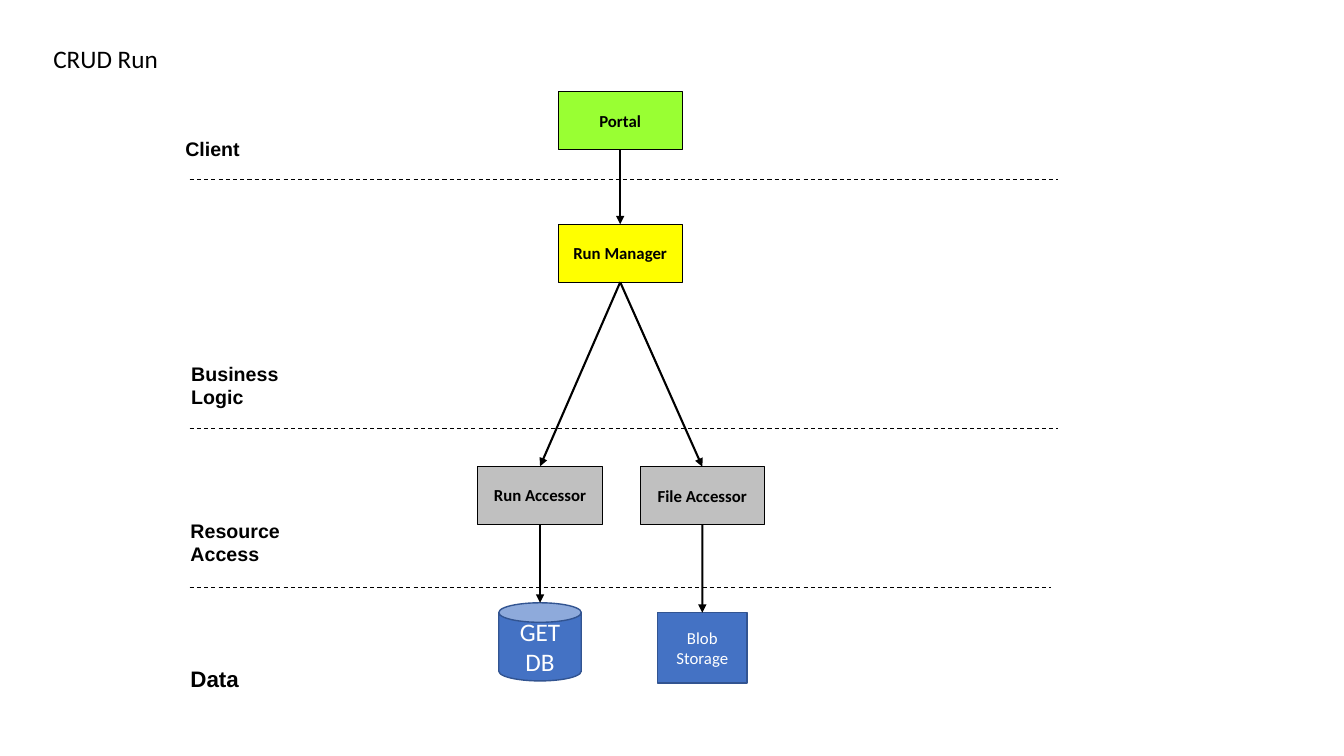
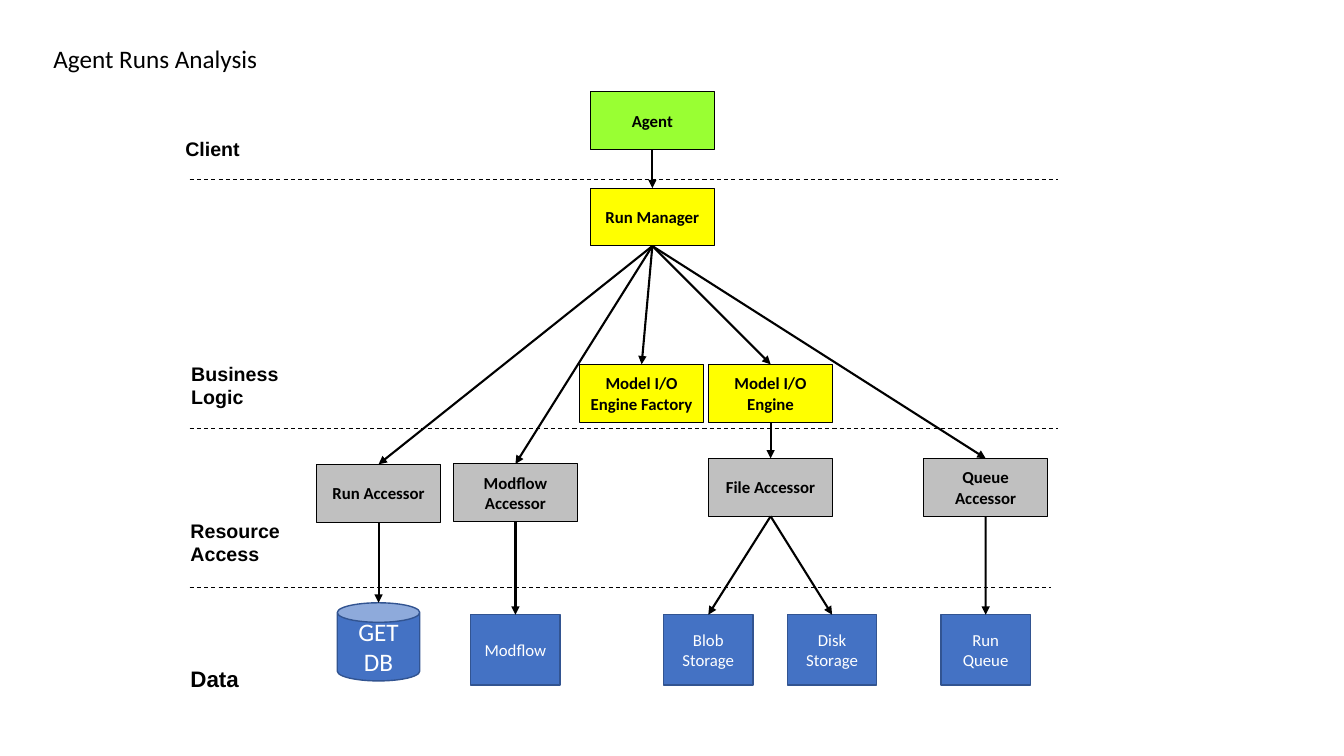
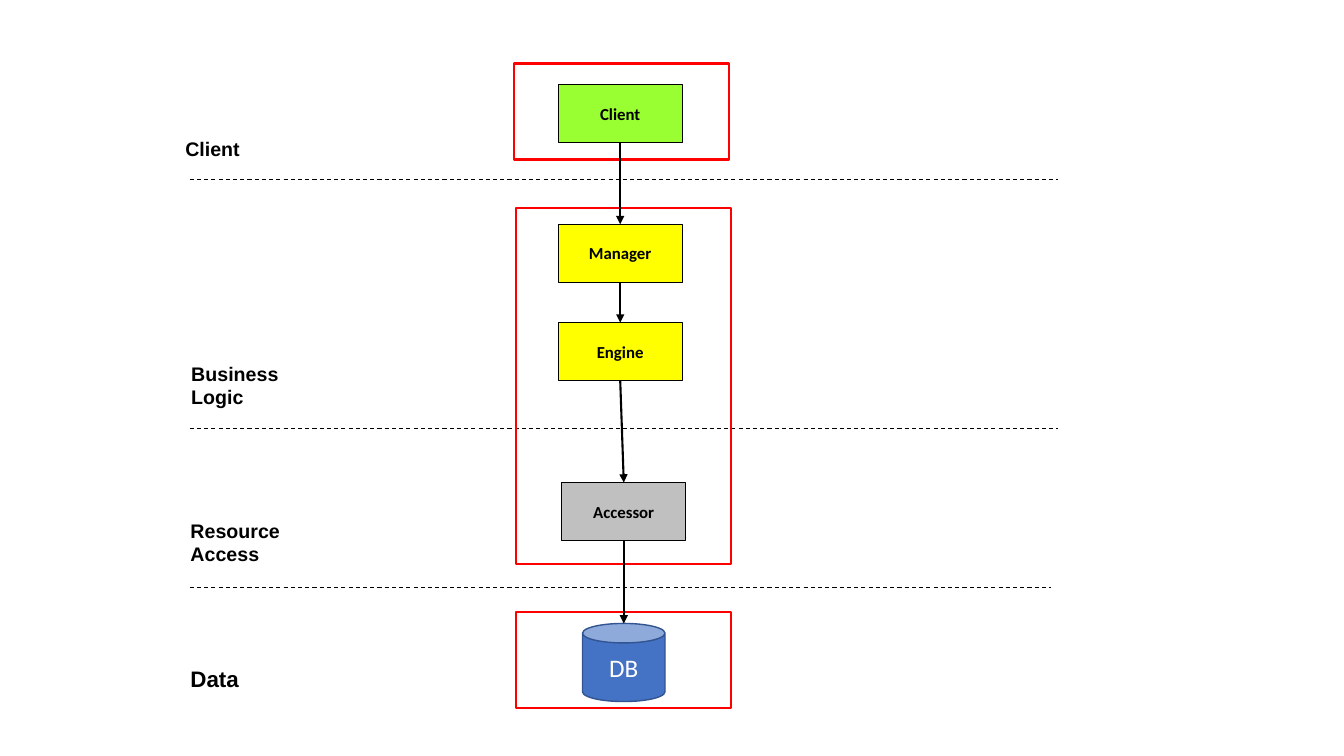
"""Builds three layered architecture diagrams: CRUD run, agent analysis and the general pattern."""
import lxml.etree
import pptx
import pptx.dml.color
import pptx.enum.dml
import pptx.enum.shapes
import pptx.enum.text
import pptx.oxml.ns
import pptx.util

Cm = pptx.util.Cm
Pt = pptx.util.Pt
RGBColor = pptx.dml.color.RGBColor
SHAPE = pptx.enum.shapes.MSO_SHAPE
ALIGN = pptx.enum.text.PP_ALIGN
ANCHOR = pptx.enum.text.MSO_ANCHOR

BLACK = RGBColor(0x00, 0x00, 0x00)
WHITE = RGBColor(0xFF, 0xFF, 0xFF)
GREEN = RGBColor(0x99, 0xFF, 0x33)
YELLOW = RGBColor(0xFF, 0xFF, 0x00)
GRAY = RGBColor(0xC0, 0xC0, 0xC0)
BLUE = RGBColor(0x44, 0x72, 0xC4)
NAVY = RGBColor(0x32, 0x54, 0x91)
RED = RGBColor(0xFF, 0x00, 0x00)

TITLE_ONLY, BLANK = 5, 6

LANE_LEFT = 4.78
LANE_LINES = [(4.52, 26.67), (10.8, 26.67), (14.81, 26.49)]
LANE_LABELS = [
    ("Client", 4.42, 3.33, 1.88, 0.83, 14),
    ("Business\nLogic", 4.57, 8.99, 2.72, 1.45, 14),
    ("Resource\nAccess", 4.55, 12.94, 2.77, 1.45, 14),
    ("Data", 4.55, 16.64, 1.73, 0.93, 16),
]

BOX = dict(shape=SHAPE.RECTANGLE, size=(3.13, 1.46), border=BLACK, weight=0.75,
           margin=0.2, font=dict(size=12, bold=True))
STORE = dict(shape=SHAPE.RECTANGLE, size=(2.25, 1.77), border=NAVY, weight=1,
             margin=0.25, font=dict(size=12, color=WHITE), fill=BLUE)
KINDS = {
    "client": dict(BOX, fill=GREEN),
    "logic": dict(BOX, fill=YELLOW),
    "access": dict(BOX, fill=GRAY),
    "store": STORE,
    "db": dict(STORE, shape=SHAPE.CAN, size=(2.08, 1.97), font=dict(size=18, color=WHITE)),
}

SLIDES = [
    dict(
        title=("CRUD Run", 3.18),
        nodes=[
            ("client", "Portal", 15.63, 2.31),
            ("logic", "Run Manager", 15.63, 5.65),
            ("access", "Run Accessor", 13.61, 11.75),
            ("access", "File Accessor", 17.7, 11.76),
            ("db", "GET DB", 13.61, 15.19),
            ("store", "Blob Storage", 17.7, 15.44),
        ],
        arrows=[
            ("Portal", "Run Manager"),
            ("Run Manager", "Run Accessor"),
            ("Run Manager", "File Accessor"),
            ("Run Accessor", "GET DB"),
            ("File Accessor", "Blob Storage"),
        ],
    ),
    dict(
        title=("Agent Runs Analysis", 5.72),
        nodes=[
            ("client", "Agent", 16.44, 2.31),
            ("logic", "Run Manager", 16.44, 4.74),
            ("logic", "Model I/O Engine Factory", 16.17, 9.18),
            ("logic", "Model I/O Engine", 19.42, 9.18),
            ("access", "Run Accessor", 9.54, 11.7),
            ("access", "Modflow Accessor", 12.99, 11.69),
            ("access", "File Accessor", 19.42, 11.55),
            ("access", "Queue Accessor", 24.84, 11.55),
            ("db", "GET DB", 9.54, 15.19),
            ("store", "Modflow", 12.99, 15.49),
            ("store", "Blob Storage", 17.85, 15.49),
            ("store", "Disk Storage", 20.97, 15.49),
            ("store", "Run Queue", 24.84, 15.49),
        ],
        arrows=[
            ("Agent", "Run Manager"),
            ("Run Manager", "Run Accessor"),
            ("Run Manager", "Modflow Accessor"),
            ("Run Manager", "Model I/O Engine Factory"),
            ("Run Manager", "Model I/O Engine"),
            ("Run Manager", "Queue Accessor"),
            ("Model I/O Engine", "File Accessor"),
            ("Run Accessor", "GET DB"),
            ("Modflow Accessor", "Modflow"),
            ("File Accessor", "Blob Storage"),
            ("File Accessor", "Disk Storage"),
            ("Queue Accessor", "Run Queue"),
        ],
    ),
    dict(
        nodes=[
            ("client", "Client", 15.63, 2.13),
            ("logic", "Manager", 15.63, 5.65),
            ("logic", "Engine", 15.63, 8.13),
            ("access", "Accessor", 15.72, 12.16),
            ("db", "DB", 15.72, 15.71),
        ],
        frames=[(12.95, 1.6, 2.42), (13, 5.24, 8.97), (13, 15.42, 2.42)],
        arrows=[
            ("Client", "Manager"),
            ("Manager", "Engine"),
            ("Engine", "Accessor"),
            ("Accessor", "DB"),
        ],
    ),
]
FRAME_WIDTH = 5.42


def write(tf, text, size=12, font="Calibri", color=BLACK, bold=False,
          align=ALIGN.LEFT, anchor=ANCHOR.TOP, wrap=False):
    """Fill a text frame with one formatted paragraph."""
    tf.auto_size = pptx.enum.text.MSO_AUTO_SIZE.NONE
    tf.word_wrap = wrap
    tf.vertical_anchor = anchor
    p = tf.paragraphs[0]
    p.alignment = align
    for i, line in enumerate(text.split("\n")):
        if i:
            p.add_line_break()
        r = p.add_run()
        r.text = line
        r.font.name, r.font.size = font, Pt(size)
        r.font.bold, r.font.color.rgb = bold, color


def add_line(s, start, end, weight):
    """Draw a straight black line without a shadow."""
    c = s.shapes.add_connector(pptx.enum.shapes.MSO_CONNECTOR.STRAIGHT, *start, *end)
    c.line.color.rgb = BLACK
    c.line.width = Pt(weight)
    lxml.etree.SubElement(c.element.spPr, pptx.oxml.ns.qn("a:effectLst"))
    return c


def add_outlined(s, shape, bounds, border, weight, fill=None):
    """Draw a preset shape with an outline and an optional fill."""
    sp = s.shapes.add_shape(shape, *map(Cm, bounds))
    sp.shadow.inherit = False
    sp.line.color.rgb = border
    sp.line.width = Pt(weight)
    if fill is None:
        sp.fill.background()
    else:
        sp.fill.solid()
        sp.fill.fore_color.rgb = fill
    return sp


def add_lanes(s):
    """Draw the layer labels and the dashed lines between layers."""
    for y, right in LANE_LINES:
        c = add_line(s, (Cm(LANE_LEFT), Cm(y)), (Cm(right), Cm(y)), 0.75)
        c.line.dash_style = pptx.enum.dml.MSO_LINE.DASH
    for text, x, y, w, h, size in LANE_LABELS:
        sp = s.shapes.add_textbox(Cm(x), Cm(y), Cm(w), Cm(h))
        write(sp.text_frame, text, size=size, font="Arial", bold=True)


def add_title(s, text, width):
    """Place the slide title at the top left."""
    sp = s.shapes.title
    sp.left, sp.top, sp.width, sp.height = Cm(1.09), Cm(0.97), Cm(width), Cm(1.02)
    write(sp.text_frame, text, size=18)


def add_node(s, kind, text, center, top):
    """Draw a component centred on a column."""
    k = KINDS[kind]
    w, h = k["size"]
    sp = add_outlined(s, k["shape"], (center - w / 2, top, w, h),
                      k["border"], k["weight"], k["fill"])
    tf = sp.text_frame
    tf.margin_left = tf.margin_right = Cm(k["margin"])
    write(tf, text, align=ALIGN.CENTER, anchor=ANCHOR.MIDDLE, wrap=True, **k["font"])
    return sp


def add_arrow(s, source, target):
    """Connect the bottom of one component to the top of another."""
    start = source.left + source.width // 2, source.top + source.height
    end = target.left + target.width // 2, target.top
    c = add_line(s, start, end, 1.5)
    c.begin_connect(source, 2)
    c.end_connect(target, 1 if target.auto_shape_type == SHAPE.CAN else 0)
    c.end_x, c.end_y = end
    ln = c.element.spPr.find(pptx.oxml.ns.qn("a:ln"))
    lxml.etree.SubElement(ln, pptx.oxml.ns.qn("a:tailEnd"), type="triangle")


def main():
    """Build and save the presentation."""
    prs = pptx.Presentation()
    prs.slide_width, prs.slide_height = Cm(33.87), Cm(19.05)
    for content in SLIDES:
        layout = TITLE_ONLY if "title" in content else BLANK
        s = prs.slides.add_slide(prs.slide_layouts[layout])
        add_lanes(s)
        if "title" in content:
            add_title(s, *content["title"])
        nodes = {node[1]: add_node(s, *node) for node in content["nodes"]}
        for x, y, h in content.get("frames", []):
            add_outlined(s, SHAPE.RECTANGLE, (x, y, FRAME_WIDTH, h), RED, 1.5)
        for source, target in content["arrows"]:
            add_arrow(s, nodes[source], nodes[target])
    prs.save("out.pptx")


if __name__ == "__main__":
    main()
